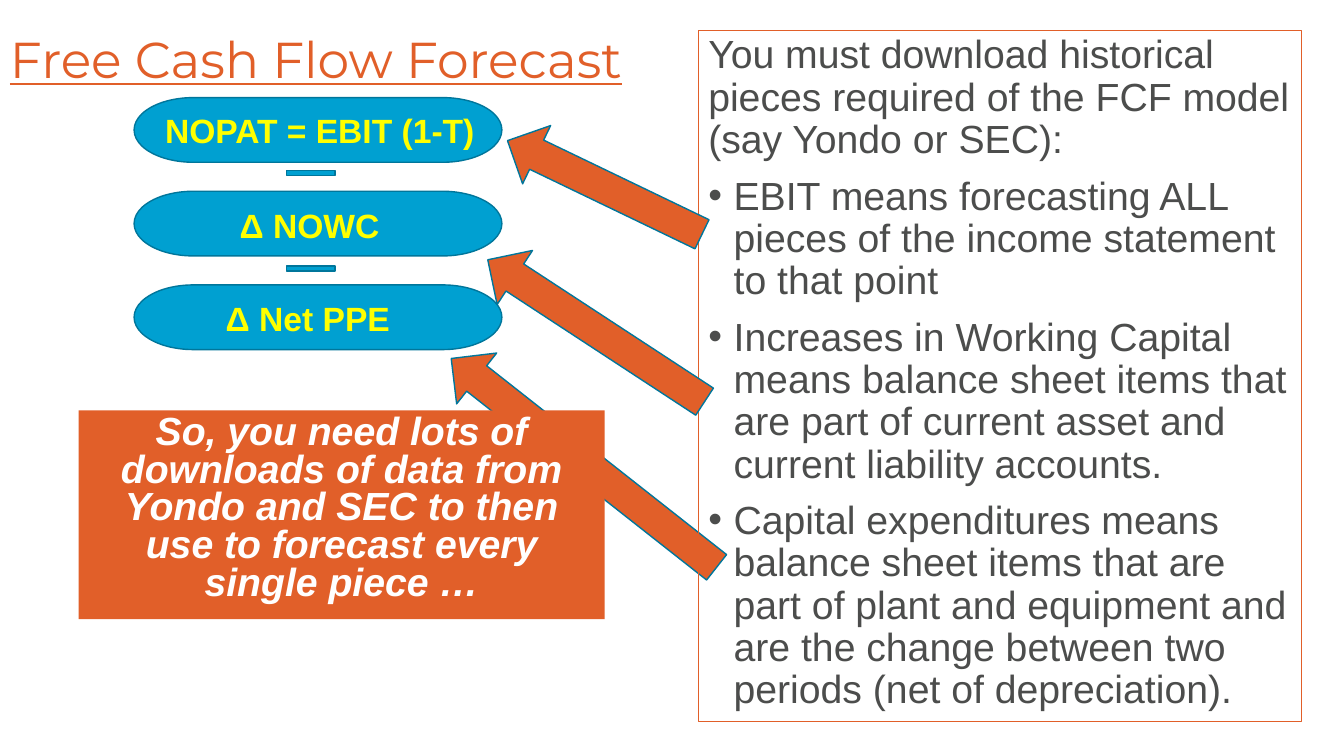
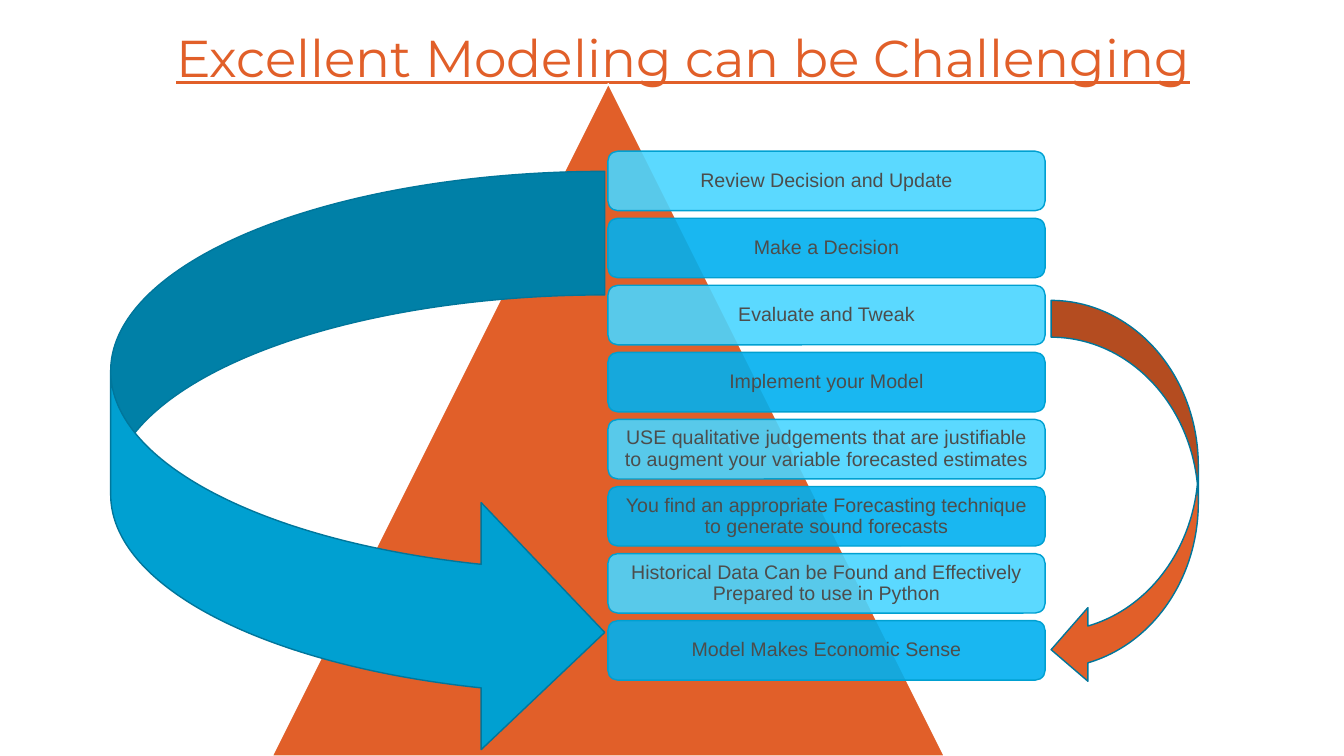
"""Build two slides on forecasting free cash flow and building sound models."""
from dataclasses import dataclass

from lxml import etree
from pptx import Presentation
from pptx.dml.color import RGBColor
from pptx.enum import shapes, text
from pptx.oxml import ns
from pptx.util import Cm, Pt

KIND = shapes.MSO_SHAPE
ALIGN = text.PP_ALIGN
ANCHOR = text.MSO_ANCHOR


@dataclass(frozen=True)
class Theme:
    """Colours, fonts and type sizes shared by the slides."""
    orange: str = "E15F29"
    blue: str = "00A0D1"
    edge: str = "00769B"
    light_step: str = "4AD5FF"
    dark_step: str = "00B0F0"
    ink: str = "4C4D4C"
    yellow: str = "FFFF00"
    white: str = "FFFFFF"
    title_font: str = "Montserrat"
    body_font: str = "Arial"
    title_size: int = 36
    wide_title_size: int = 37
    body_size: int = 28
    label_size: int = 24
    step_size: int = 14


THEME = Theme()

REQUIREMENTS = [
    "EBIT means forecasting ALL pieces of the income statement to that point",
    "Increases in Working Capital means balance sheet items that are part of "
    "current asset and current liability accounts.",
    "Capital expenditures means balance sheet items that are part of plant and "
    "equipment and are the change between two periods (net of depreciation).",
]
INTRO = "You must download historical pieces required of the FCF model (say Yondo or SEC):"
CONCLUSION = ("So, you need lots of downloads of data from Yondo and SEC to then "
              "use to forecast every single piece …")
TERMS = [
    ("NOPAT = EBIT (1-T)", (3.91, 2.64, 9.27, 1.27)),
    ("Δ NOWC", (5.79, 5.03, 4.72, 1.27)),
    ("Δ Net PPE", (5.44, 7.37, 5.03, 1.27)),
]
STEPS = [
    "Review Decision and Update",
    "Make a Decision",
    "Evaluate and Tweak",
    "Implement your Model",
    "USE qualitative judgements that are justifiable to augment your variable "
    "forecasted estimates",
    "You find an appropriate Forecasting technique to generate sound forecasts",
    "Historical Data Can be Found and Effectively Prepared to use in Python",
    "Model Makes Economic Sense",
]


def apply(target, settings):
    """Set each named attribute on the target."""
    for name, value in settings.items():
        setattr(target, name, value)


def add_figure(slide, kind, box, fill=None, line=None, weight=1, rotation=0):
    """Add a flat preset shape with its fill, outline and rotation."""
    figure = slide.shapes.add_shape(kind, *map(Cm, box))
    figure.shadow.inherit = False
    figure.rotation = rotation
    if fill:
        figure.fill.solid()
        figure.fill.fore_color.rgb = RGBColor.from_string(fill)
    else:
        figure.fill.background()
    if line:
        figure.line.color.rgb = RGBColor.from_string(line)
        figure.line.width = Pt(weight)
    else:
        figure.line.fill.background()
    return figure


def add_text_area(slide, box):
    """Add a wrapping text box."""
    area = slide.shapes.add_textbox(*map(Cm, box))
    area.text_frame.word_wrap = True
    return area


def write(holder, paragraphs, size, color, font=THEME.body_font,
          anchor=ANCHOR.TOP, layout=None, **style):
    """Fill a shape with uniformly styled paragraphs and return them."""
    frame = holder.text_frame
    frame.vertical_anchor = anchor
    written = []
    for index, wording in enumerate(paragraphs):
        paragraph = frame.add_paragraph() if index else frame.paragraphs[0]
        apply(paragraph, {"alignment": ALIGN.LEFT, **(layout or {})})
        run = paragraph.add_run()
        run.text = wording
        apply(run.font, {"name": font, "size": Pt(size), **style})
        run.font.color.rgb = RGBColor.from_string(color)
        written.append(paragraph)
    return written


def add_bullet(paragraph, indent):
    """Give a paragraph a round bullet and a hanging indent."""
    properties = paragraph._p.get_or_add_pPr()
    properties.set("marL", str(Cm(indent)))
    properties.set("indent", str(-Cm(indent)))
    etree.SubElement(properties, ns.qn("a:buFont")).set("typeface", THEME.body_font)
    etree.SubElement(properties, ns.qn("a:buChar")).set("char", "•")


def set_opacity(figure, percent):
    """Make the solid fill of a shape partly transparent."""
    color = figure._element.spPr.find(ns.qn("a:solidFill"))[0]
    etree.SubElement(color, ns.qn("a:alpha")).set("val", str(percent * 1000))


def add_title(slide, wording, left, size, alignment, spacing):
    """Add the underlined slide title, running to the right edge."""
    title = add_text_area(slide, (left, 0.76, 33.87 - left, 1.63))
    write(title, [wording], size, THEME.orange, THEME.title_font, ANCHOR.MIDDLE,
          {"alignment": alignment, "line_spacing": spacing}, underline=True)


def add_pointer(slide, box, rotation):
    """Add an orange arrow from the requirements to a term."""
    add_figure(slide, KIND.LEFT_ARROW, box, THEME.orange, THEME.edge, rotation=rotation)


def add_requirements(slide):
    """Add the framed list of data to download."""
    panel = add_figure(slide, KIND.RECTANGLE, (17.6, 0.76, 15.21, 17.42),
                       line=THEME.orange, weight=0.75)
    paragraphs = write(panel, [INTRO, *REQUIREMENTS], THEME.body_size, THEME.ink,
                       layout={"line_spacing": 0.9, "space_before": Pt(10)})
    for paragraph in paragraphs[1:]:
        add_bullet(paragraph, 0.64)


def add_formula(slide):
    """Add the stacked cash flow terms with minus signs between them."""
    for row, (wording, box) in enumerate(TERMS):
        add_figure(slide, KIND.FLOWCHART_TERMINATOR, (3.38, 2.46 + 2.36 * row, 9.27, 1.63),
                   THEME.blue, THEME.edge)
        label = add_text_area(slide, box)
        write(label, [wording], THEME.label_size, THEME.yellow, bold=True)
    for row in range(len(TERMS) - 1):
        add_figure(slide, KIND.MATH_MINUS, (7.01, 4.09 + 2.41 * row, 1.65, 0.53),
                   THEME.blue, THEME.edge)


def add_step(slide, row, wording):
    """Add one translucent step of the modeling ladder."""
    fill = THEME.dark_step if row % 2 else THEME.light_step
    step = add_figure(slide, KIND.ROUNDED_RECTANGLE, (15.32, 3.81 + 1.69 * row, 11.02, 1.5),
                      fill, THEME.blue)
    set_opacity(step, 90)
    sides = ("left", "top", "right", "bottom")
    apply(step.text_frame, {f"margin_{side}": Cm(0.15) for side in sides})
    write(step, [wording], THEME.step_size, THEME.ink, anchor=ANCHOR.MIDDLE,
          layout={"alignment": ALIGN.CENTER, "line_spacing": 0.9})


def build_forecast(slide):
    """Build the free cash flow slide."""
    add_pointer(slide, (10.46, 10.85, 8.51, 1.63), 38.2)
    add_requirements(slide)
    add_title(slide, "Free Cash Flow Forecast", 0, THEME.title_size, ALIGN.LEFT, 0.9)
    conclusion = add_figure(slide, KIND.RECTANGLE, (1.98, 10.34, 13.26, 5.26), THEME.orange)
    write(conclusion, [CONCLUSION], THEME.body_size, THEME.white,
          layout={"alignment": ALIGN.CENTER, "line_spacing": 0.8, "space_before": Pt(10)},
          bold=True, italic=True)
    add_formula(slide)
    add_pointer(slide, (12.52, 3.91, 5.44, 1.63), 25.7)
    add_pointer(slide, (11.76, 7.52, 6.53, 1.63), 33.2)


def build_modeling(slide):
    """Build the modeling ladder slide."""
    add_title(slide, "Excellent Modeling can be Challenging", 0.56,
              THEME.wide_title_size, ALIGN.CENTER, 0.8)
    add_figure(slide, KIND.ISOSCELES_TRIANGLE, (6.86, 2.11, 16.94, 16.94),
               THEME.orange, THEME.white)
    for row, wording in enumerate(STEPS):
        add_step(slide, row, wording)
    add_figure(slide, KIND.CURVED_LEFT_ARROW, (26.49, 7.57, 3.71, 9.73),
               THEME.orange, THEME.edge)
    add_figure(slide, KIND.CURVED_RIGHT_ARROW, (2.79, 4.32, 12.45, 14.73),
               THEME.blue, THEME.edge)


def main():
    """Create and save the presentation."""
    deck = Presentation()
    apply(deck, {"slide_width": Cm(33.87), "slide_height": Cm(19.05)})
    for build in (build_forecast, build_modeling):
        build(deck.slides.add_slide(deck.slide_layouts[6]))
    deck.save("out.pptx")


if __name__ == "__main__":
    main()
